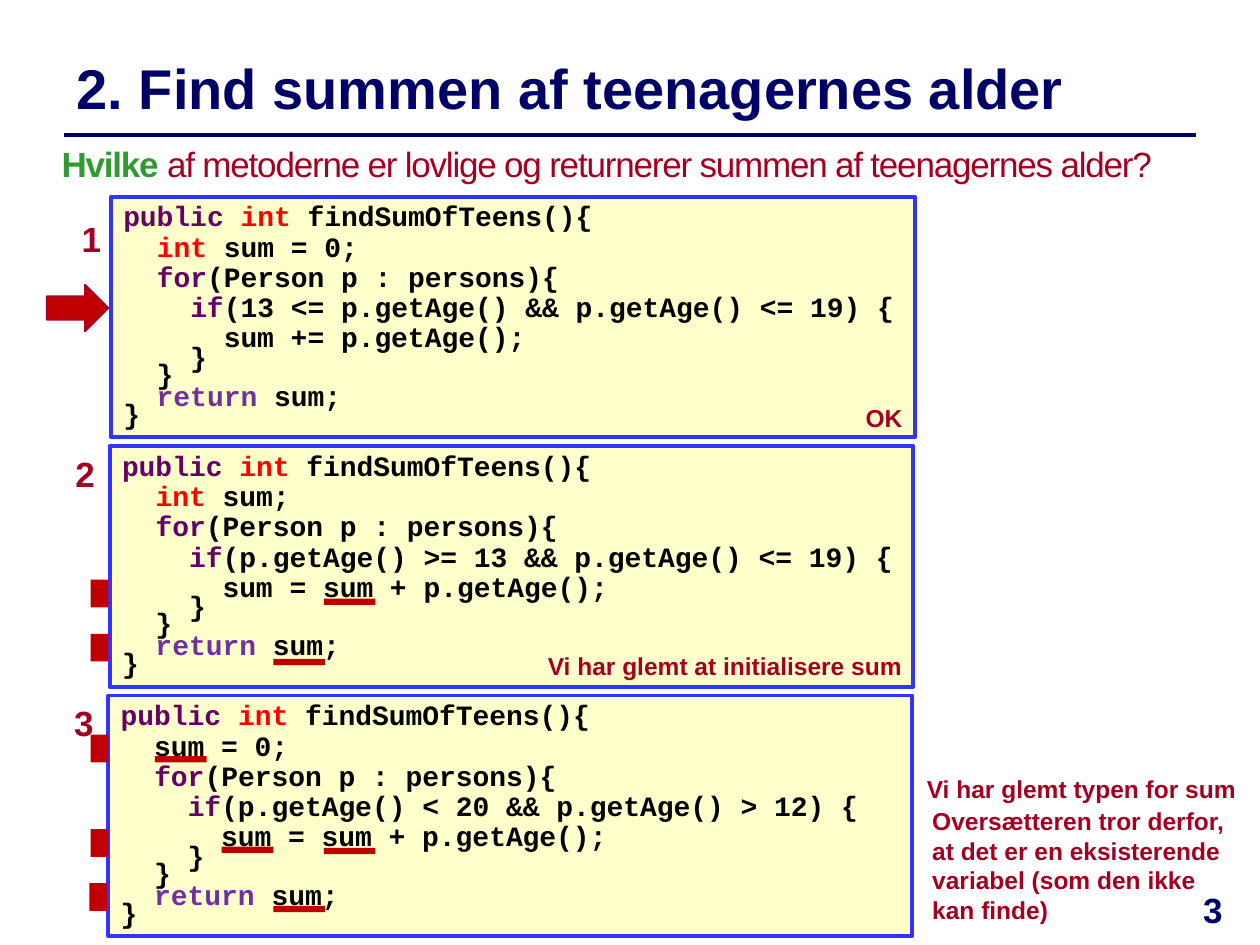
from dataclasses import dataclass

import lxml.etree
import pptx
import pptx.dml.color
import pptx.enum.shapes
import pptx.enum.text
import pptx.oxml.ns
import pptx.util

Inches = pptx.util.Inches
Pt = pptx.util.Pt
RGBColor = pptx.dml.color.RGBColor
Shape = pptx.enum.shapes.MSO_SHAPE
Align = pptx.enum.text.PP_ALIGN
Anchor = pptx.enum.text.MSO_ANCHOR

NAVY = RGBColor(0x00, 0x00, 0x66)
GREEN = RGBColor(0x33, 0x99, 0x33)
CRIMSON = RGBColor(0xA5, 0x00, 0x21)
RED = RGBColor(0xC0, 0x00, 0x00)
BLUE = RGBColor(0x33, 0x33, 0xFF)
CREAM = RGBColor(0xFF, 0xFF, 0xCC)
BLACK = RGBColor(0x00, 0x00, 0x00)
PURPLE = RGBColor(0x66, 0x00, 0x66)

KEYWORDS = {
    "public": PURPLE,
    "for": PURPLE,
    "if": PURPLE,
    "int": RGBColor(0xFF, 0x00, 0x00),
    "return": RGBColor(0x70, 0x30, 0xA0),
}
LINE_SPACINGS = (0.9, 0.9, 0.9, 0.9, 0.9, 0.5, 0.5, 0.7, 0.5)
HEADER = "public |int |findSumOfTeens(){"
LOOP = "  |for|(Person p : persons){"
FOOTER = ("    }", "  }", "  return |sum;", "}")


@dataclass
class Area:
    left: float
    top: float
    width: float
    height: float

    def lengths(self) -> tuple:
        return tuple(Inches(v) for v in (self.left, self.top, self.width, self.height))


@dataclass
class Method:
    declaration: str
    condition: str
    addition: str
    label: Area
    markers: tuple = ()
    underlines: tuple = ()


@dataclass
class Note:
    text: str
    area: Area
    align: Align = Align.RIGHT


METHODS = (
    Method("  |int |sum = 0;", "(13 <= p.getAge() && p.getAge() <= 19) {",
           "      sum += p.getAge();", Area(0.55, 1.68, 0.44, 0.44)),
    Method("  |int| sum;", "(p.getAge() >= 13 && p.getAge() <= 19) {",
           "      sum = sum + p.getAge();", Area(0.5, 3.54, 0.44, 0.44),
           ((0.72, 5.03), (0.72, 4.6)), ((2.17, 5.23), (2.57, 4.75))),
    Method("  sum = 0;", "(p.getAge() < 20 && p.getAge() > 12) {",
           "      sum = sum + p.getAge();", Area(0.49, 5.52, 0.44, 0.44),
           ((0.71, 7.01), (0.72, 6.58), (0.72, 5.83)),
           ((2.17, 7.19), (1.76, 6.72), (1.23, 6), (2.57, 6.73))),
)
NOTES = (
    Note("OK", Area(6.68, 3.15, 0.58, 0.35)),
    Note("Vi har glemt at initialisere sum", Area(4.13, 5.12, 3.13, 0.36)),
    Note("Vi har glemt typen for sum", Area(7.01, 6.09, 2.9, 0.36)),
    Note("Oversætteren tror derfor, at det er en eksisterende variabel (som den ikke kan finde)",
         Area(7.3, 6.35, 2.61, 1.14), Align.LEFT),
)


def add_text(page, area: Area, text: str, size: float, color: RGBColor,
             align: Align = Align.LEFT, anchor: Anchor = Anchor.TOP, bold: bool = True):
    box = page.shapes.add_textbox(*area.lengths())
    box.text_frame.word_wrap = True
    box.text_frame.vertical_anchor = anchor
    para = box.text_frame.paragraphs[0]
    para.alignment = align
    para.font.name = "Arial"
    para.font.size = Pt(size)
    para.font.bold = bold
    para.font.color.rgb = color
    para.add_run().text = text
    return para


def add_block(page, area: Area, fill: RGBColor, kind: Shape = Shape.RECTANGLE,
              line: RGBColor | None = None, weight: float = 1):
    block = page.shapes.add_shape(kind, *area.lengths())
    block.shadow.inherit = False
    block.fill.solid()
    block.fill.fore_color.rgb = fill
    if line is None:
        block.line.fill.background()
    else:
        block.line.color.rgb = line
        block.line.width = Pt(weight)
    return block


def add_rule(page) -> None:
    rule = page.shapes.add_connector(
        pptx.enum.shapes.MSO_CONNECTOR.STRAIGHT,
        Inches(0.51), Inches(1.07), Inches(9.49), Inches(1.07))
    rule.line.color.rgb = NAVY
    rule.line.width = Pt(2)
    lxml.etree.SubElement(rule._element.spPr, pptx.oxml.ns.qn("a:effectLst"))


def add_question(page) -> None:
    para = add_text(page, Area(0.39, 1.08, 9.61, 0.49), "Hvilke", 20, CRIMSON, bold=False)
    para.runs[0].font.bold = True
    para.runs[0].font.color.rgb = GREEN
    para.add_run().text = " af metoderne er lovlige og returnerer summen af teenagernes alder?"
    for span in para.runs:
        span.font._element.set("spc", "-70")


def add_code(page, area: Area, method: Method) -> None:
    frame = add_block(page, area, CREAM, line=BLUE, weight=2.25).text_frame
    frame.word_wrap = True
    frame.vertical_anchor = Anchor.TOP
    lines = (HEADER, method.declaration, LOOP, "    |if|" + method.condition,
             method.addition, *FOOTER)
    for index, (line, spacing) in enumerate(zip(lines, LINE_SPACINGS)):
        para = frame.add_paragraph() if index else frame.paragraphs[0]
        para.alignment = Align.LEFT
        para.line_spacing = spacing
        para.font.name = "Courier New"
        para.font.size = Pt(16)
        para.font.bold = True
        for token in line.split("|"):
            span = para.add_run()
            span.text = token
            span.font.color.rgb = KEYWORDS.get(token.strip(), BLACK)


def add_method(page, index: int, method: Method) -> None:
    add_code(page, Area(0.88 - 0.01 * index, 1.56 + 1.98 * index, 6.38, 1.91), method)
    add_text(page, method.label, str(index + 1), 20, CRIMSON)
    for left, top in method.markers:
        add_block(page, Area(left, top, 0.14, 0.22), RED)
    for left, top in method.underlines:
        add_block(page, Area(left, top, 0.41, 0.05), RED)


def main() -> None:
    """Build the slide about summing the ages of teenagers."""
    deck = pptx.Presentation()
    deck.slide_width = Inches(10)
    deck.slide_height = Inches(7.5)
    page = deck.slides.add_slide(deck.slide_layouts[6])
    add_rule(page)
    add_text(page, Area(0.51, 0.36, 8.98, 0.67), "2. Find summen af teenagernes alder",
             32, NAVY, anchor=Anchor.MIDDLE)
    add_question(page)
    for index, method in enumerate(METHODS):
        add_method(page, index, method)
    for note in NOTES:
        add_text(page, note.area, note.text, 14, CRIMSON, note.align)
    add_text(page, Area(9.25, 7, 0.75, 0.5), "3", 20, NAVY, Align.CENTER)
    add_block(page, Area(0.37, 2.26, 0.49, 0.37), RED, Shape.RIGHT_ARROW, CRIMSON)
    deck.save("out.pptx")


if __name__ == "__main__":
    main()
